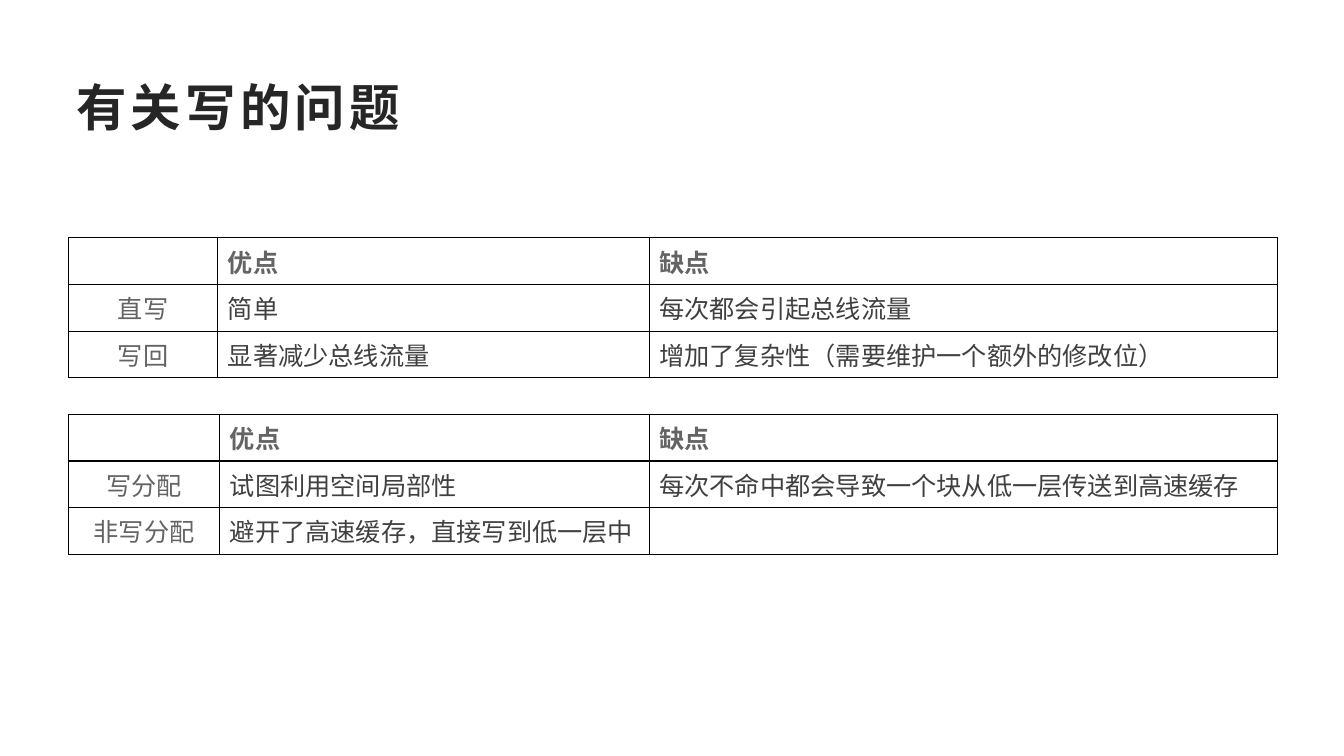
from pptx import Presentation
from pptx.dml.color import RGBColor
from pptx.enum.text import MSO_ANCHOR, PP_ALIGN
from pptx.oxml import parse_xml
from pptx.oxml.ns import nsdecls
from pptx.util import Inches, Pt

MIDDLE = MSO_ANCHOR.MIDDLE
CENTER, LEFT = PP_ALIGN.CENTER, PP_ALIGN.LEFT
FONT = "Arial"
COLORS = {"title": "262626", "label": "646464", "body": "404040", "border": "000000"}
ROW_HEIGHT = 0.463


def add_run(p, text, size, color, bold):
    r = p.add_run()
    r.text = text
    r.font.name = FONT
    r.font.size = Pt(size)
    r.font.bold = bold
    r.font.color.rgb = RGBColor.from_string(COLORS[color])
    return r


def set_borders(cell):
    tcPr = cell._tc.get_or_add_tcPr()
    for i, side in enumerate(("lnL", "lnR", "lnT", "lnB")):
        tcPr.insert(i, parse_xml(
            f'<a:{side} {nsdecls("a")} w="{Pt(1)}"><a:solidFill>'
            f'<a:srgbClr val="{COLORS["border"]}"/></a:solidFill></a:{side}>'))


prs = Presentation()
prs.slide_width, prs.slide_height = Inches(13.33), Inches(7.5)
s = prs.slides.add_slide(prs.slide_layouts[6])

# Title
title = s.shapes.add_textbox(Inches(0.66), Inches(0.67), Inches(12), Inches(0.77))
tf = title.text_frame
tf.word_wrap = True
tf.vertical_anchor = MIDDLE
r = add_run(tf.paragraphs[0], "有关写的问题", 36, "title", True)
r.font._element.set("spc", "300")

# Comparison tables: top, column widths, rows
header = ["", "优点", "缺点"]
tables = [
    (2.36, [1.48, 4.28, 6.23], [
        header,
        ["直写", "简单", "每次都会引起总线流量"],
        ["写回", "显著减少总线流量", "增加了复杂性（需要维护一个额外的修改位）"],
    ]),
    (4.11, [1.5, 4.26, 6.23], [
        header,
        ["写分配", "试图利用空间局部性", "每次不命中都会导致一个块从低一层传送到高速缓存"],
        ["非写分配", "避开了高速缓存，直接写到低一层中", ""],
    ]),
]
for top, widths, rows in tables:
    table = s.shapes.add_table(
        len(rows), len(widths), Inches(0.68), Inches(top),
        Inches(sum(widths)), Inches(ROW_HEIGHT * len(rows))).table
    table.first_row = table.horz_banding = False
    for column, width in zip(table.columns, widths):
        column.width = Inches(width)
    for i, texts in enumerate(rows):
        table.rows[i].height = Inches(ROW_HEIGHT)
        for j, text in enumerate(texts):
            cell = table.cell(i, j)
            cell.fill.background()
            set_borders(cell)
            if text:
                p = cell.text_frame.paragraphs[0]
                p.alignment = CENTER if j == 0 else LEFT
                add_run(p, text, 18, "label" if i == 0 or j == 0 else "body", i == 0)

prs.save("out.pptx")
